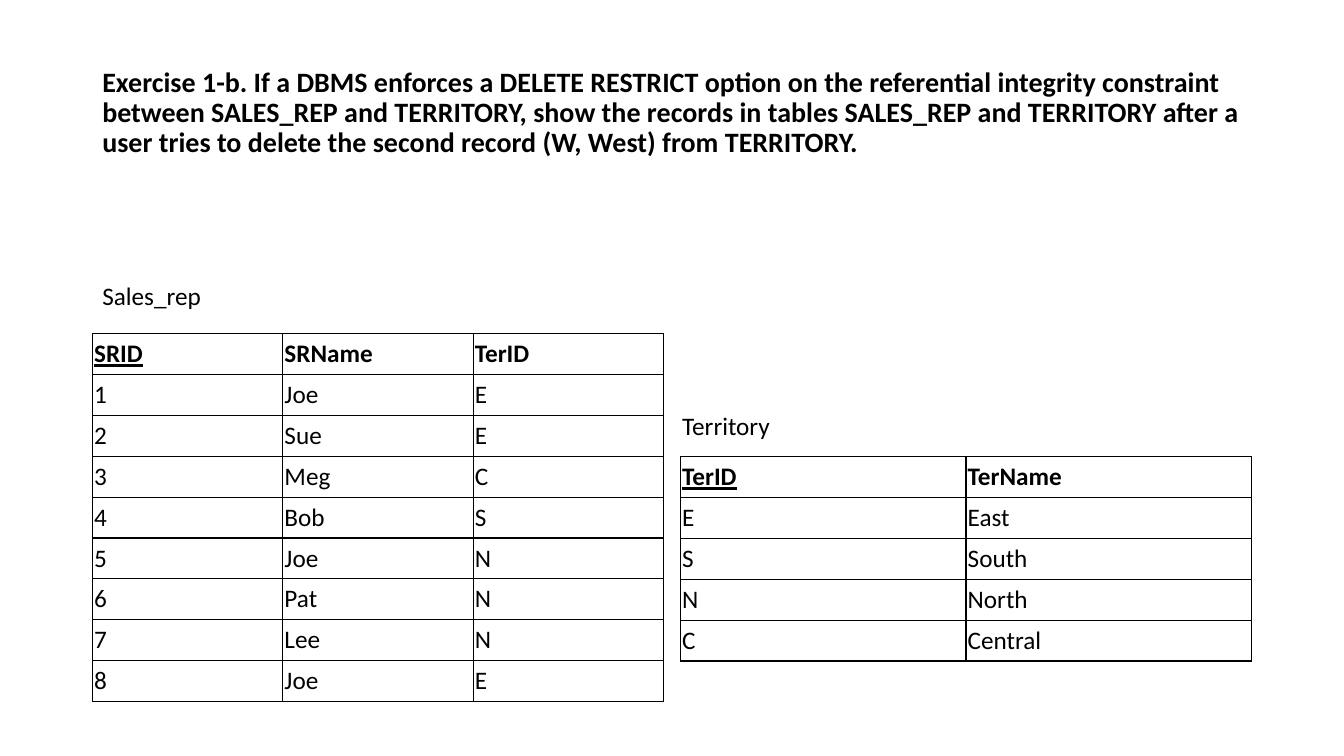
from lxml.etree import SubElement
from pptx import Presentation
from pptx.dml.color import RGBColor
from pptx.enum.text import MSO_ANCHOR as Anchor, MSO_AUTO_SIZE as AutoSize
from pptx.oxml.ns import qn
from pptx.util import Pt

TITLE = (
    "Exercise 1-b. If a DBMS enforces a DELETE RESTRICT option on the referential "
    "integrity constraint between SALES_REP and TERRITORY, show the records in tables "
    "SALES_REP and TERRITORY after a user tries to delete the second record (W, West) "
    "from TERRITORY."
)
TITLE_BOX = (66, 28.8, 828, 104.4)

# The first column of each table is its key.
TABLES = [
    {
        "label": "Sales_rep",
        "label_box": (66, 196.6, 85.7, 28.8),
        "left": 66,
        "top": 238.3,
        "rows": [
            ("SRID", "SRName", "TerID"),
            ("1", "Joe", "E"),
            ("2", "Sue", "E"),
            ("3", "Meg", "C"),
            ("4", "Bob", "S"),
            ("5", "Joe", "N"),
            ("6", "Pat", "N"),
            ("7", "Lee", "N"),
            ("8", "Joe", "E"),
        ],
    },
    {
        "label": "Territory",
        "label_box": (480.2, 289.4, 77.8, 28.8),
        "left": 486,
        "top": 326.2,
        "rows": [
            ("TerID", "TerName"),
            ("E", "East"),
            ("S", "South"),
            ("N", "North"),
            ("C", "Central"),
        ],
    },
]

COLORS = {"text": "000000", "border": "000000"}
FONT = "Calibri"
TABLE_WIDTH = 408
ROW_HEIGHT = 29.2
CELL_MARGIN = 1.25
BORDER_WIDTH = 1


def add_run(paragraph, text, size=18, bold=False, underline=False):
    run = paragraph.add_run()
    run.text = text
    font = run.font
    font.name, font.size = FONT, Pt(size)
    font.bold, font.underline = bold, underline
    font.color.rgb = RGBColor.from_string(COLORS["text"])


def add_text_box(slide, box):
    return slide.shapes.add_textbox(*map(Pt, box)).text_frame


def add_borders(cell):
    """Draw all four borders, placed before the cell's fill as the schema asks."""
    properties = cell._tc.get_or_add_tcPr()
    for position, side in enumerate(("a:lnL", "a:lnR", "a:lnT", "a:lnB")):
        line = SubElement(properties, qn(side), w=str(Pt(BORDER_WIDTH)))
        fill = SubElement(line, qn("a:solidFill"))
        SubElement(fill, qn("a:srgbClr"), val=COLORS["border"])
        properties.insert(position, line)


def add_record_table(slide, left, top, rows):
    column_count = len(rows[0])
    table = slide.shapes.add_table(
        len(rows), column_count, Pt(left), Pt(top),
        Pt(TABLE_WIDTH), Pt(ROW_HEIGHT * len(rows)),
    ).table
    table.first_row = table.horz_banding = False
    for column in table.columns:
        column.width = Pt(TABLE_WIDTH / column_count)
    for row_index, values in enumerate(rows):
        table.rows[row_index].height = Pt(ROW_HEIGHT)
        is_header = row_index == 0
        for column_index, value in enumerate(values):
            cell = table.cell(row_index, column_index)
            cell.fill.background()
            cell.vertical_anchor = Anchor.MIDDLE
            cell.margin_left = cell.margin_right = Pt(CELL_MARGIN)
            cell.margin_top = cell.margin_bottom = Pt(CELL_MARGIN)
            add_borders(cell)
            add_run(cell.text_frame.paragraphs[0], value, bold=is_header,
                    underline=is_header and column_index == 0)


def main():
    presentation = Presentation()
    presentation.slide_width, presentation.slide_height = Pt(960), Pt(540)
    slide = presentation.slides.add_slide(presentation.slide_layouts[6])

    title = add_text_box(slide, TITLE_BOX)
    title.word_wrap = True
    title.vertical_anchor = Anchor.MIDDLE
    title.paragraphs[0].line_spacing = 0.9
    add_run(title.paragraphs[0], TITLE, size=20, bold=True)

    for item in TABLES:
        add_record_table(slide, item["left"], item["top"], item["rows"])
        label = add_text_box(slide, item["label_box"])
        label.word_wrap = False
        label.auto_size = AutoSize.SHAPE_TO_FIT_TEXT
        add_run(label.paragraphs[0], item["label"])

    presentation.save("out.pptx")


if __name__ == "__main__":
    main()
